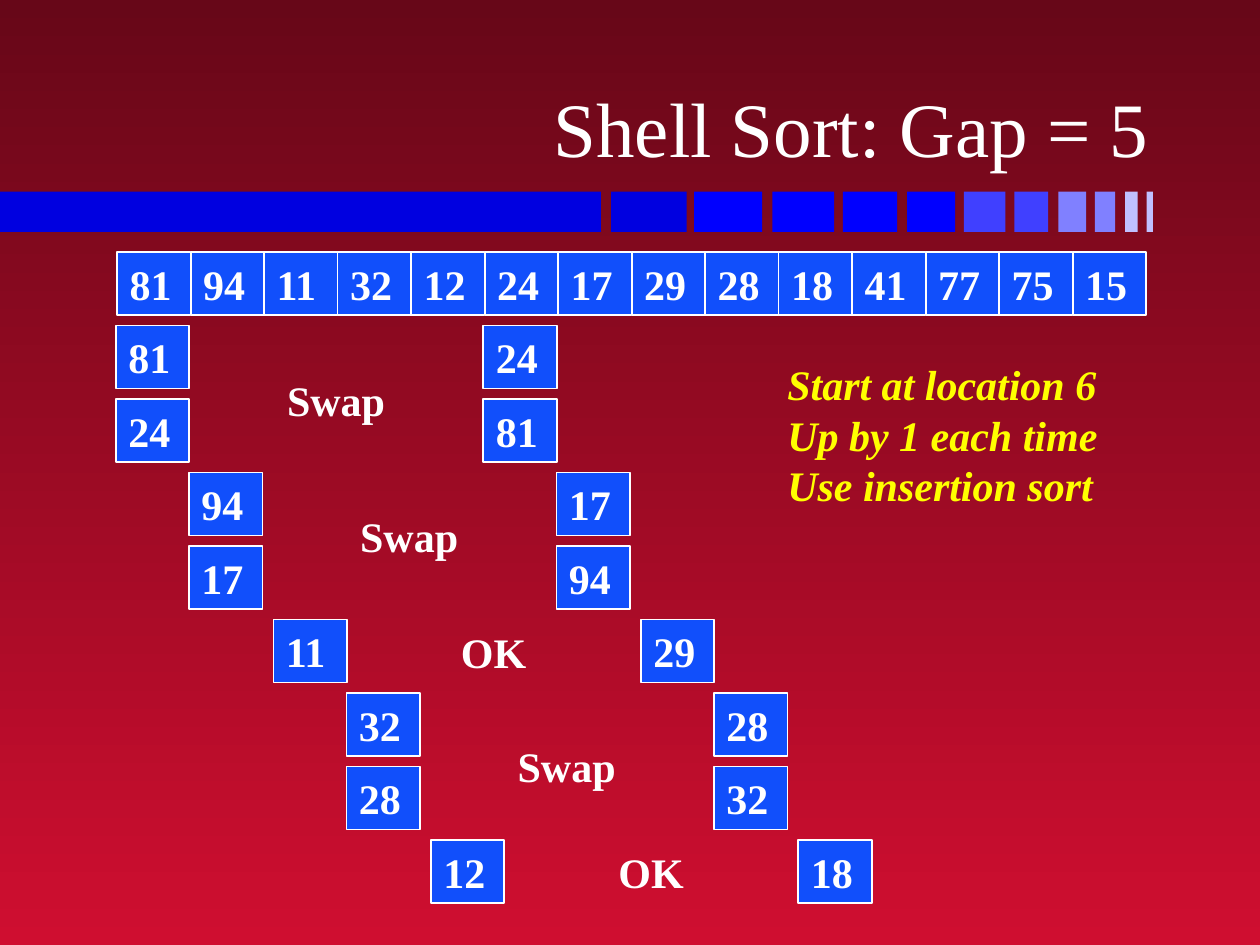
from pptx import Presentation
from pptx import util as u
from pptx.dml.color import RGBColor
from pptx.enum import shapes, text

WHITE = RGBColor(0xFF, 0xFF, 0xFF)
YELLOW = RGBColor(0xFF, 0xFF, 0x00)
BLUE = RGBColor(0x11, 0x4F, 0xFB)
MAROON = RGBColor(0x67, 0x07, 0x18)
RED = RGBColor(0xCF, 0x0E, 0x30)
NAVY = RGBColor(0x00, 0x00, 0xE0)
PURE = RGBColor(0x00, 0x00, 0xFF)
MID = RGBColor(0x40, 0x40, 0xFF)
LIGHT = RGBColor(0x80, 0x80, 0xFF)
PALE = RGBColor(0xC0, 0xC0, 0xFF)

GAP = 5
PITCH = 7 / 12
LEFT, TOP = 0.92, 2
VALUES = [81, 94, 11, 32, 12, 24, 17, 29, 28, 18, 41, 77, 75, 15]
BARS = [
    (0, 4.77, NAVY), (4.85, 0.6, NAVY), (5.51, 0.54, PURE),
    (6.13, 0.49, PURE), (6.69, 0.43, PURE), (7.2, 0.38, PURE),
    (7.65, 0.33, MID), (8.05, 0.27, MID), (8.4, 0.22, LIGHT),
    (8.69, 0.16, LIGHT), (8.93, 0.1, PALE), (9.1, 0.05, PALE),
]
PAIRS = [
    (0.92, 2.18, 2.92), (1.5, 2.76, 4), (2.17, 3.56, 4.92),
    (2.75, 4.01, 5.83), (3.42, 4.81, 6.67),
]


def write(frame, words, size=24, color=WHITE, bold=True, italic=False,
          align=text.PP_ALIGN.LEFT, anchor=text.MSO_ANCHOR.TOP, wrap=False):
    frame.word_wrap = wrap
    frame.vertical_anchor = anchor
    for i, line in enumerate(words.split("\n")):
        para = frame.add_paragraph() if i else frame.paragraphs[0]
        para.alignment = align
        run = para.add_run()
        run.text = line
        font = run.font
        font.name = "Times New Roman"
        font.size = u.Pt(size)
        font.bold, font.italic = bold, italic
        font.color.rgb = color


class Deck:
    def __init__(self, slide):
        self.slide = slide
        fill = slide.background.fill
        fill.gradient()
        fill.gradient_angle = 270
        for stop, color, place in zip(fill.gradient_stops, (MAROON, RED), (0, 1)):
            stop.color.rgb = color
            stop.position = place

    def rect(self, x, y, w, h, color):
        box = self.slide.shapes.add_shape(
            shapes.MSO_SHAPE.RECTANGLE, *map(u.Inches, (x, y, w, h)))
        box.shadow.inherit = False
        box.fill.solid()
        box.fill.fore_color.rgb = color
        box.line.fill.background()
        return box

    def cell(self, x, y, value):
        box = self.rect(x, y, PITCH, 0.5, BLUE)
        box.line.color.rgb = WHITE
        box.line.width = u.Pt(1)
        write(box.text_frame, str(value), anchor=text.MSO_ANCHOR.MIDDLE)

    def label(self, x, y, w, h, words, **style):
        box = self.slide.shapes.add_textbox(*map(u.Inches, (x, y, w, h)))
        write(box.text_frame, words, **style)


def main():
    prs = Presentation()
    prs.slide_width, prs.slide_height = u.Inches(10), u.Inches(7.5)
    deck = Deck(prs.slides.add_slide(prs.slide_layouts[6]))

    for x, w, color in BARS:
        deck.rect(x, 1.52, w, 0.32, color)
    deck.label(0.74, 0.19, 8.48, 1.23, "Shell Sort: Gap = 5", size=44,
               bold=False, align=text.PP_ALIGN.RIGHT,
               anchor=text.MSO_ANCHOR.BOTTOM, wrap=True)

    for i, value in enumerate(VALUES):
        deck.cell(LEFT + 0.01 + i * PITCH, TOP, value)

    y = TOP + PITCH
    for i, (x, note, down) in enumerate(PAIRS):
        low, high = VALUES[i], VALUES[i + GAP]
        swap = low > high
        rows = [(low, high), (high, low)] if swap else [(low, high)]
        for pair in rows:
            for side, value in enumerate(pair):
                deck.cell(x + side * GAP * PITCH, y, value)
            y += PITCH
        deck.label(note, down, 0.98 if swap else 0.72, 0.5,
                   "Swap" if swap else "OK")

    deck.label(6.15, 2.8, 2.66, 1.3,
               "Start at location 6\nUp by 1 each time\nUse insertion sort",
               color=YELLOW, italic=True)
    prs.save("out.pptx")


if __name__ == "__main__":
    main()
